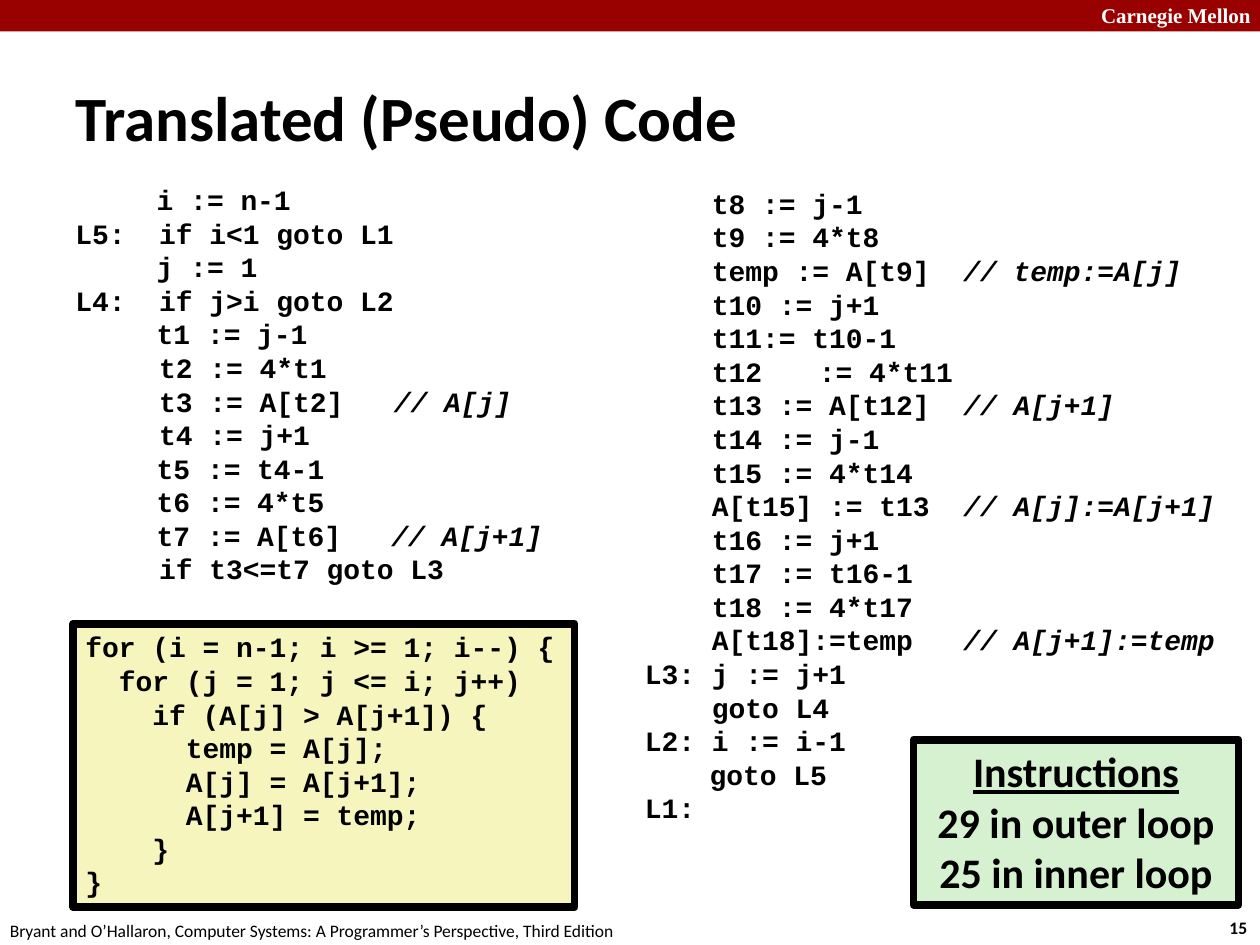
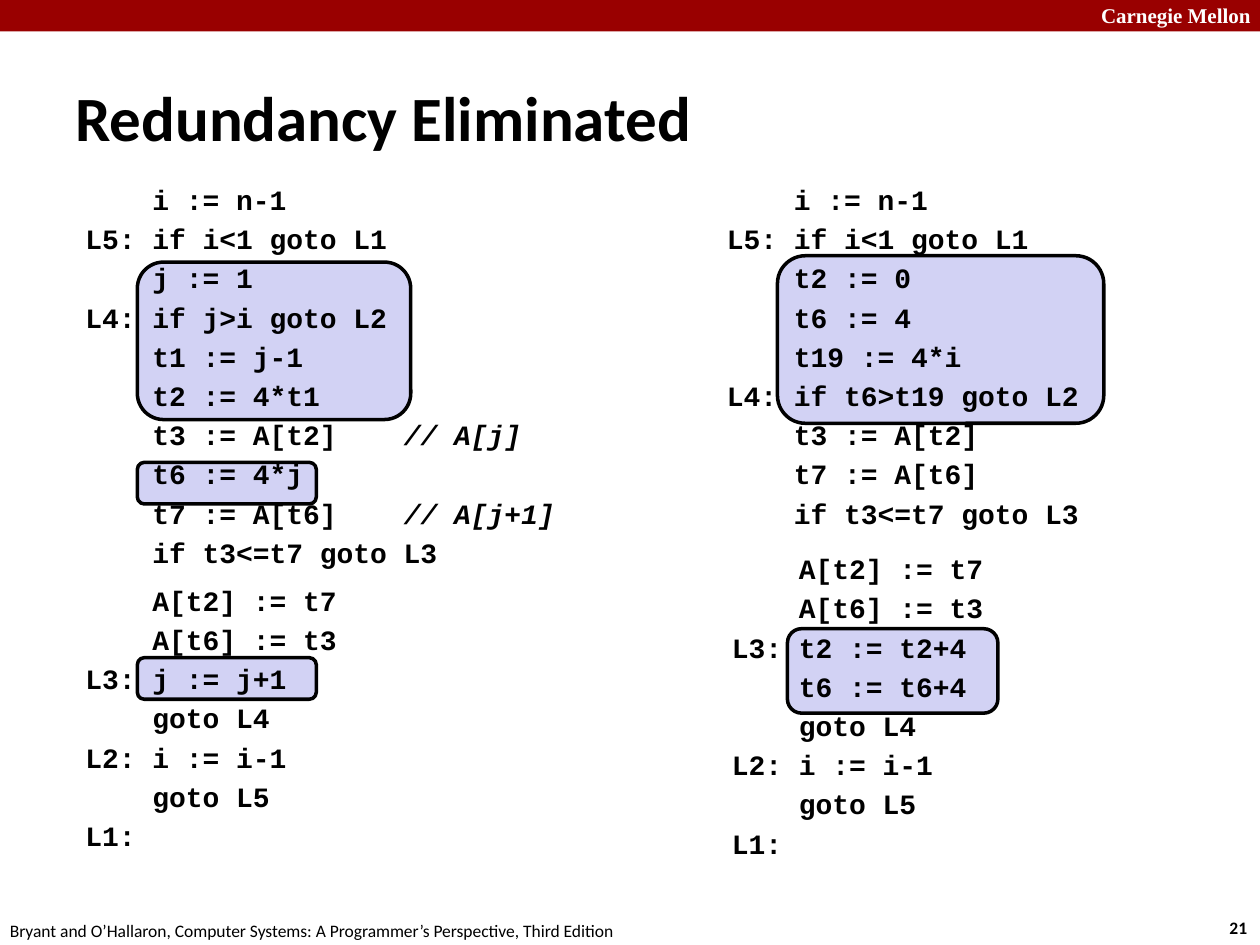
import pptx
import pptx.util
import pptx.dml.color
import pptx.enum.shapes
import pptx.enum.text

HUES = {
    "band": "990000", "ink": "000000", "paper": "FFFFFF",
    "source": "F6F5BD", "count": "D5F1CF", "mark": "D2D2F4",
}
BODY = "Calibri"
MONO = "Courier New"
SERIF = "Times New Roman"
COLS, ROWS = 100, 75
KINDS = pptx.enum.shapes.MSO_SHAPE
ALIGN = pptx.enum.text.PP_ALIGN
ANCHOR = pptx.enum.text.MSO_ANCHOR
CREDIT = "Bryant and O’Hallaron, Computer Systems: A Programmer’s Perspective, Third Edition"

LEFT = """\t  i := n-1
L5:  if i<1 goto L1
\t  j := 1
L4:  if j>i goto L2
\t  t1 := j-1
     t2 := 4*t1
     t3 := A[t2]   // A[j]
     t4 := j+1
\t  t5 := t4-1
\t  t6 := 4*t5
\t  t7 := A[t6]   // A[j+1]
     if t3<=t7 goto L3"""

RIGHT = """    t8 := j-1
    t9 := 4*t8
    temp := A[t9]  // temp:=A[j]
    t10 := j+1
    t11:= t10-1
    t12\t:= 4*t11
    t13 := A[t12]  // A[j+1]
    t14 := j-1
    t15 := 4*t14
    A[t15] := t13  // A[j]:=A[j+1]
    t16 := j+1
    t17 := t16-1
    t18 := 4*t17
    A[t18]:=temp   // A[j+1]:=temp
L3: j := j+1
    goto L4
L2: i := i-1
\t goto L5
L1:"""

SOURCE = """for (i = n-1; i >= 1; i--) {
  for (j = 1; j <= i; j++)
    if (A[j] > A[j+1]) {
      temp = A[j];
      A[j] = A[j+1];
      A[j+1] = temp;
    }
}"""

START = """    i := n-1
L5: if i<1 goto L1
"""
SWAP = """    A[t2] := t7
    A[t6] := t3
"""
FINISH = """    goto L4
L2: i := i-1
    goto L5
L1:"""

OLD_TOP = START + """    j := 1
L4: if j>i goto L2
    t1 := j-1
    t2 := 4*t1
    t3 := A[t2]    // A[j]
    t6 := 4*j
    t7 := A[t6]    // A[j+1]
    if t3<=t7 goto L3"""
OLD_END = SWAP + "L3: j := j+1\n" + FINISH

NEW_TOP = START + """    t2 := 0
    t6 := 4
    t19 := 4*i
L4: if t6>t19 goto L2
    t3 := A[t2]
    t7 := A[t6]
    if t3<=t7 goto L3"""
NEW_END = SWAP + "L3: t2 := t2+4\n    t6 := t6+4\n" + FINISH


class Deck:
    def __init__(self):
        self.show = pptx.Presentation()
        self.show.slide_width = pptx.util.Inches(10)
        self.show.slide_height = pptx.util.Inches(7.5)

    def place(self, left, top, wide, high):
        col = self.show.slide_width / COLS
        row = self.show.slide_height / ROWS
        return [round(n) for n in (left * col, top * row, wide * col, high * row)]

    def hue(self, name):
        return pptx.dml.color.RGBColor.from_string(HUES[name])

    def page(self, title, number):
        self.slide = self.show.slides.add_slide(self.show.slide_layouts[6])
        self.shape((0, 0, COLS, 2.5), "band")
        self.text((86.4, -0.3, 14.3, 3), "Carnegie Mellon", 12, SERIF, hue="paper")
        self.text((96.6, 72.3, 3.7, 2.7), str(number), 10)
        self.text((-0.2, 72.5, 50.8, 2.7), CREDIT, 10, bold=False)
        head = self.text((5, 3, 90, 12.5), title, 36)
        head.text_frame.vertical_anchor = ANCHOR.MIDDLE

    def shape(self, spot, fill, line=0, kind=KINDS.RECTANGLE):
        shape = self.slide.shapes.add_shape(kind, *self.place(*spot))
        shape.shadow.inherit = False
        shape.fill.solid()
        shape.fill.fore_color.rgb = self.hue(fill)
        if line:
            shape.line.color.rgb = self.hue("ink")
            shape.line.width = pptx.util.Pt(line)
        else:
            shape.line.fill.background()
        return shape

    def mark(self, *spot):
        self.shape(spot, "mark", 2, KINDS.ROUNDED_RECTANGLE)

    def text(self, spot, words, size, face=BODY, bold=True, hue="ink"):
        box = self.slide.shapes.add_textbox(*self.place(*spot))
        self.label(box, words, size, face, bold, hue)
        return box

    def label(self, shape, words, size, face=BODY, bold=True, hue="ink", align=ALIGN.LEFT):
        frame = shape.text_frame
        frame.word_wrap = True
        frame.text = words
        for para in frame.paragraphs:
            para.alignment = align
            for run in para.runs:
                self.style(run, size, face, bold, hue)

    def style(self, run, size, face, bold=True, hue="ink"):
        run.font.size = pptx.util.Pt(size)
        run.font.name = face
        run.font.bold = bold
        run.font.color.rgb = self.hue(hue)

    def code(self, spot, words, gap=0):
        box = self.slide.shapes.add_textbox(*self.place(*spot))
        frame = box.text_frame
        frame.word_wrap = True
        for row, line in enumerate(words.split("\n")):
            para = frame.add_paragraph() if row else frame.paragraphs[0]
            props = para._p.get_or_add_pPr()
            props.set("marL", str(pptx.util.Inches(0.38)))
            props.set("indent", str(pptx.util.Inches(-0.38)))
            if row and gap:
                para.space_before = pptx.util.Pt(gap)
            main, slash, note = line.partition("//")
            for part in filter(None, (main, slash + note)):
                run = para.add_run()
                run.text = part
                self.style(run, 16, MONO)
                run.font.italic = part.startswith("//")

    def panel(self, spot, fill, words, size, face, align=ALIGN.LEFT):
        panel = self.shape(spot, fill, 4.5)
        panel.text_frame.vertical_anchor = ANCHOR.TOP
        self.label(panel, words, size, face, align=align)
        return panel


def pseudo(deck):
    deck.page("Translated (Pseudo) Code", 15)
    deck.code((5, 14, 44.2, 54.5), LEFT)
    deck.code((50.2, 14.3, 48.2, 54.5), RIGHT)
    deck.panel((5.8, 49.5, 39.8, 22.5), "source", SOURCE, 16, MONO)
    count = deck.panel((72.5, 58.7, 25.8, 13.1), "count",
                       "Instructions\n29 in outer loop\n25 in inner loop",
                       24, BODY, ALIGN.CENTER)
    count.text_frame.paragraphs[0].runs[0].font.underline = True


def reduced(deck):
    deck.page("Redundancy Eliminated", 21)
    gap = 3.2
    deck.mark(61.7, 20.3, 25.9, 13.3)
    deck.code((56.7, 14, 44.2, 30.1), NEW_TOP, gap)
    deck.mark(62.5, 49.9, 16.7, 6.7)
    deck.code((57.1, 43.3, 34.2, 27.8), NEW_END, gap)
    deck.mark(10.9, 20.8, 21.7, 12.5)
    for top in (36.7, 52.2):
        deck.mark(10.9, top, 14.2, 3.3)
    deck.code((5.8, 45.8, 45.8, 22.8), OLD_END, gap)
    deck.code((5.8, 14, 44.2, 32.8), OLD_TOP, gap)


def main():
    deck = Deck()
    pseudo(deck)
    reduced(deck)
    deck.show.save("out.pptx")


if __name__ == "__main__":
    main()
